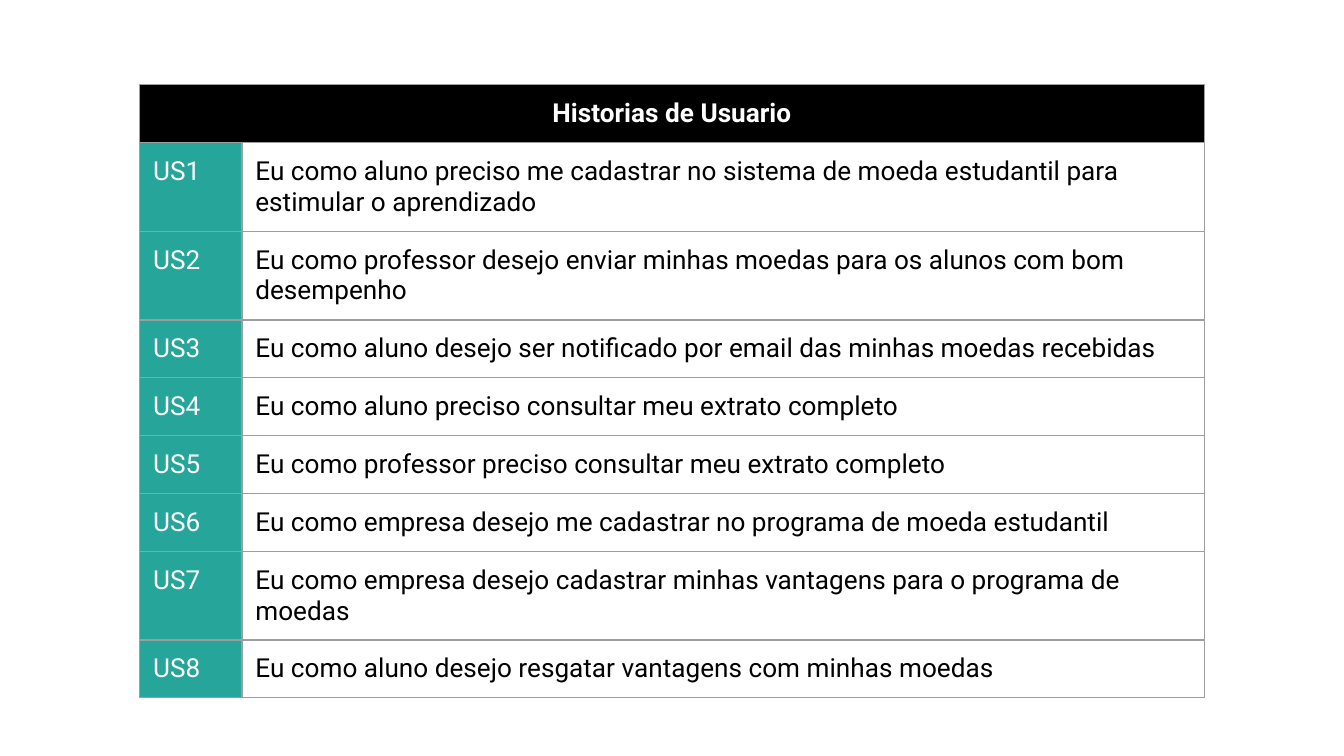
"""Builds a slide with a table of user stories."""
from dataclasses import dataclass

from lxml import etree
from pptx import Presentation
from pptx.dml.color import RGBColor
from pptx.enum.text import PP_ALIGN
from pptx.oxml.ns import qn
from pptx.util import Inches, Pt

LEFT = PP_ALIGN.LEFT
CENTER = PP_ALIGN.CENTER
BLANK_LAYOUT = 6


@dataclass(frozen=True)
class Theme:
    font: str = "Roboto"
    text_size: float = 14
    border_width: float = 0.75
    black: str = "000000"
    white: str = "FFFFFF"
    teal: str = "26A69A"
    border: str = "9E9E9E"


class SlideBuilder:
    def __init__(self, slide, theme):
        self.slide = slide
        self.theme = theme

    def borders(self, cell):
        properties = cell._tc.get_or_add_tcPr()
        for side in ("a:lnL", "a:lnR", "a:lnT", "a:lnB"):
            line = etree.SubElement(properties, qn(side), w=str(Pt(self.theme.border_width)))
            fill = etree.SubElement(line, qn("a:solidFill"))
            etree.SubElement(fill, qn("a:srgbClr"), val=self.theme.border)

    def cell(self, cell, text, color, fill=None, bold=False, alignment=LEFT):
        self.borders(cell)
        if fill:
            cell.fill.solid()
            cell.fill.fore_color.rgb = RGBColor.from_string(fill)
        else:
            cell.fill.background()
        cell.margin_left = cell.margin_right = Inches(0.1)
        cell.margin_top = cell.margin_bottom = Inches(0.1)
        cell.text = text
        paragraph = cell.text_frame.paragraphs[0]
        paragraph.alignment = alignment
        font = paragraph.font
        font.name = self.theme.font
        font.size = Pt(self.theme.text_size)
        font.bold = bold
        font.color.rgb = RGBColor.from_string(color)

    def story_table(self, title, stories, left, top, column_widths, row_height):
        theme = self.theme
        row_count = len(stories) + 1
        table = self.slide.shapes.add_table(
            row_count, len(column_widths), Inches(left), Inches(top),
            Inches(sum(column_widths)), Inches(row_height * row_count)).table
        table.first_row = table.horz_banding = False
        for column, width in zip(table.columns, column_widths):
            column.width = Inches(width)
        for row in table.rows:
            row.height = Inches(row_height)

        header, header_end = table.rows[0].cells
        self.cell(header, title, theme.white, theme.black, True, CENTER)
        self.cell(header_end, "", theme.white, theme.black)
        header.merge(header_end)
        for number, story in enumerate(stories, start=1):
            self.cell(table.cell(number, 0), f"US{number}", theme.white, theme.teal)
            self.cell(table.cell(number, 1), story, theme.black)


STORIES = [
    "Eu como aluno preciso me cadastrar no sistema de moeda estudantil para estimular o aprendizado",
    "Eu como professor desejo enviar minhas moedas para os alunos com bom desempenho",
    "Eu como aluno desejo ser notificado por email das minhas moedas recebidas",
    "Eu como aluno preciso consultar meu extrato completo",
    "Eu como professor preciso consultar meu extrato completo",
    "Eu como empresa desejo me cadastrar no programa de moeda estudantil",
    "Eu como empresa desejo cadastrar minhas vantagens para o programa de moedas",
    "Eu como aluno desejo resgatar vantagens com minhas moedas",
]


def main():
    presentation = Presentation()
    presentation.slide_width = Inches(10)
    presentation.slide_height = Inches(10 * 9 / 16)
    slide = presentation.slides.add_slide(presentation.slide_layouts[BLANK_LAYOUT])
    builder = SlideBuilder(slide, Theme())
    builder.story_table("Historias de Usuario", STORIES, left=1.04, top=0.63,
                        column_widths=(0.76, 7.16), row_height=0.42)
    presentation.save("out.pptx")


if __name__ == "__main__":
    main()
